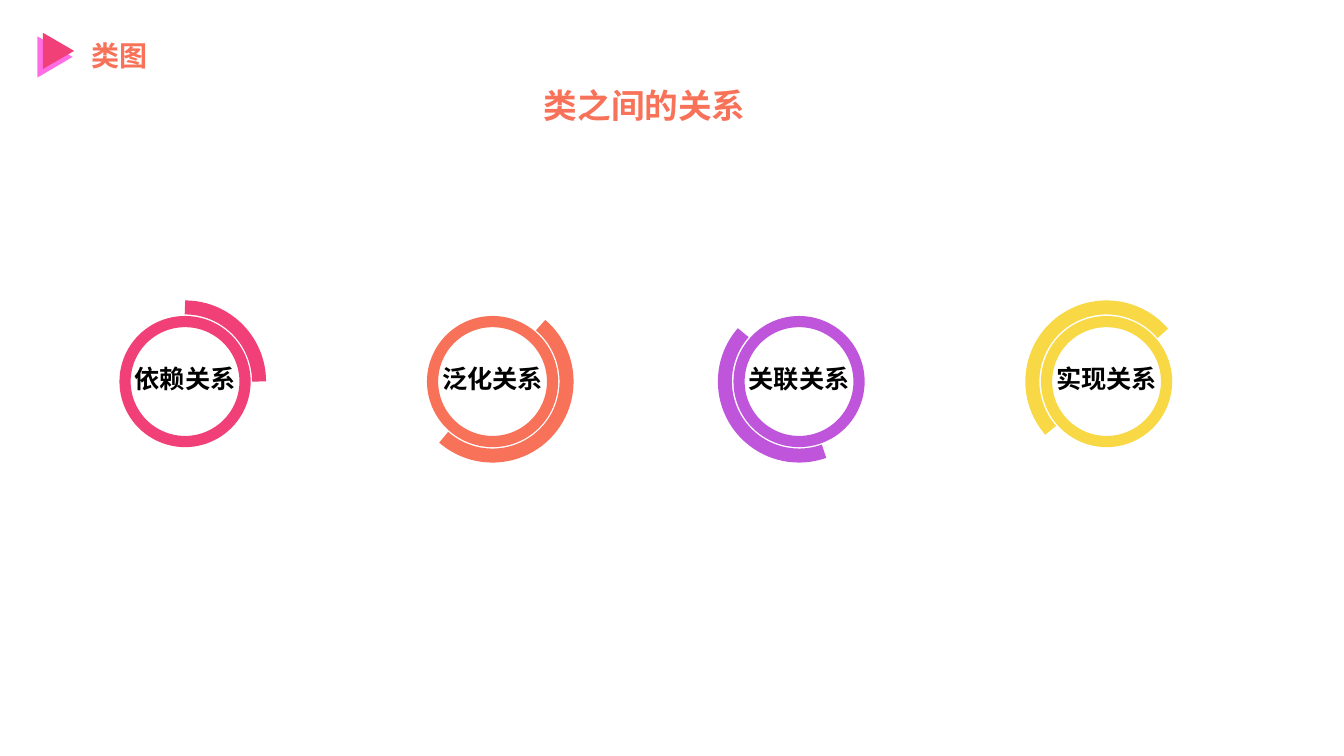
from lxml import etree
from pptx import Presentation
from pptx.dml.color import RGBColor
from pptx.enum.shapes import MSO_SHAPE
from pptx.enum.text import MSO_AUTO_SIZE, PP_ALIGN
from pptx.oxml.ns import qn
from pptx.util import Emu, Pt

TRIANGLE = MSO_SHAPE.ISOSCELES_TRIANGLE
OVAL = MSO_SHAPE.OVAL
ARC = MSO_SHAPE.ARC
LEFT = PP_ALIGN.LEFT
CENTER = PP_ALIGN.CENTER
FIT_SHAPE = MSO_AUTO_SIZE.SHAPE_TO_FIT_TEXT

PX = 9144
FONT = "Noto Sans CJK SC"
COLORS = {
    "pink": "F04077",
    "magenta": "FF6CE4",
    "coral": "F77258",
    "purple": "BF55DB",
    "yellow": "F8D845",
    "black": "000000",
}
RELATIONS = [
    ("依赖关系", "pink", 0, (), (162, 0)),
    ("泛化关系", "coral", 0, ("flipV",), (137.287, 29.711)),
    ("关联关系", "purple", 90, ("flipV",), (137.287, 11.837)),
    ("实现关系", "yellow", 90, ("flipH", "flipV"), (137.287, 29.711)),
]


def px(*lengths):
    return [Emu(length * PX) for length in lengths]


def color(name):
    return RGBColor.from_string(COLORS[name])


class SlideBuilder:
    def __init__(self, deck):
        self.page = deck.slides.add_slide(deck.slide_layouts[6])

    def text(self, words, frame, size, tint, align=LEFT, wrap=True):
        box = self.page.shapes.add_textbox(*px(*frame))
        for name, value in {"word_wrap": wrap, "auto_size": FIT_SHAPE}.items():
            setattr(box.text_frame, name, value)
        para = box.text_frame.paragraphs[0]
        para.alignment = align
        span = para.add_run()
        span.text = words
        formats = {"name": FONT, "size": Pt(size), "bold": True}
        for name, value in formats.items():
            setattr(span.font, name, value)
        span.font.color.rgb = color(tint)
        properties = span._r.get_or_add_rPr()
        etree.SubElement(properties, qn("a:ea")).set("typeface", FONT)

    def triangles(self, *items):
        group = self.page.shapes.add_group_shape()
        for frame, tint in items:
            triangle = group.shapes.add_shape(TRIANGLE, *px(*frame))
            triangle.rotation = 90
            triangle.shadow.inherit = False
            triangle.fill.solid()
            triangle.fill.fore_color.rgb = color(tint)
            triangle.line.fill.background()

    def outline(self, kind, frame, tint, weight):
        shape = self.page.shapes.add_shape(kind, *px(*frame))
        shape.shadow.inherit = False
        shape.fill.background()
        shape.line.color.rgb = color(tint)
        shape.line.width = Pt(weight)
        return shape

    def arc(self, frame, tint, rotation, flips, angles):
        arc = self.outline(ARC, frame, tint, 10)
        arc.rotation = rotation
        for index, angle in enumerate(angles):
            arc.adjustments[index] = angle
        for flip in flips:
            arc._element.spPr.get_or_add_xfrm().set(flip, "1")

    def relation(self, left, words, tint, rotation, flips, angles):
        self.outline(OVAL, (left, 319, 119, 119), tint, 8)
        self.arc((left - 14, 305, 147, 147), tint, rotation, flips, angles)
        self.text(words, (left - 1, 356, 121, 40), 18, "black", CENTER, False)


def main():
    deck = Presentation()
    deck.slide_width, deck.slide_height = px(1333, 750)
    slide = SlideBuilder(deck)
    slide.text("类图", (81, 33, 222, 44), 20, "coral")
    slide.triangles(
        ((34, 39, 41, 35), "magenta"),
        ((40, 35, 36, 31), "pink"),
    )
    slide.text("类之间的关系", (446, 79, 387, 50), 24, "coral", CENTER)
    for index, relation in enumerate(RELATIONS):
        slide.relation(124 + round(index * 914 / 3), *relation)
    deck.save("out.pptx")


if __name__ == "__main__":
    main()
